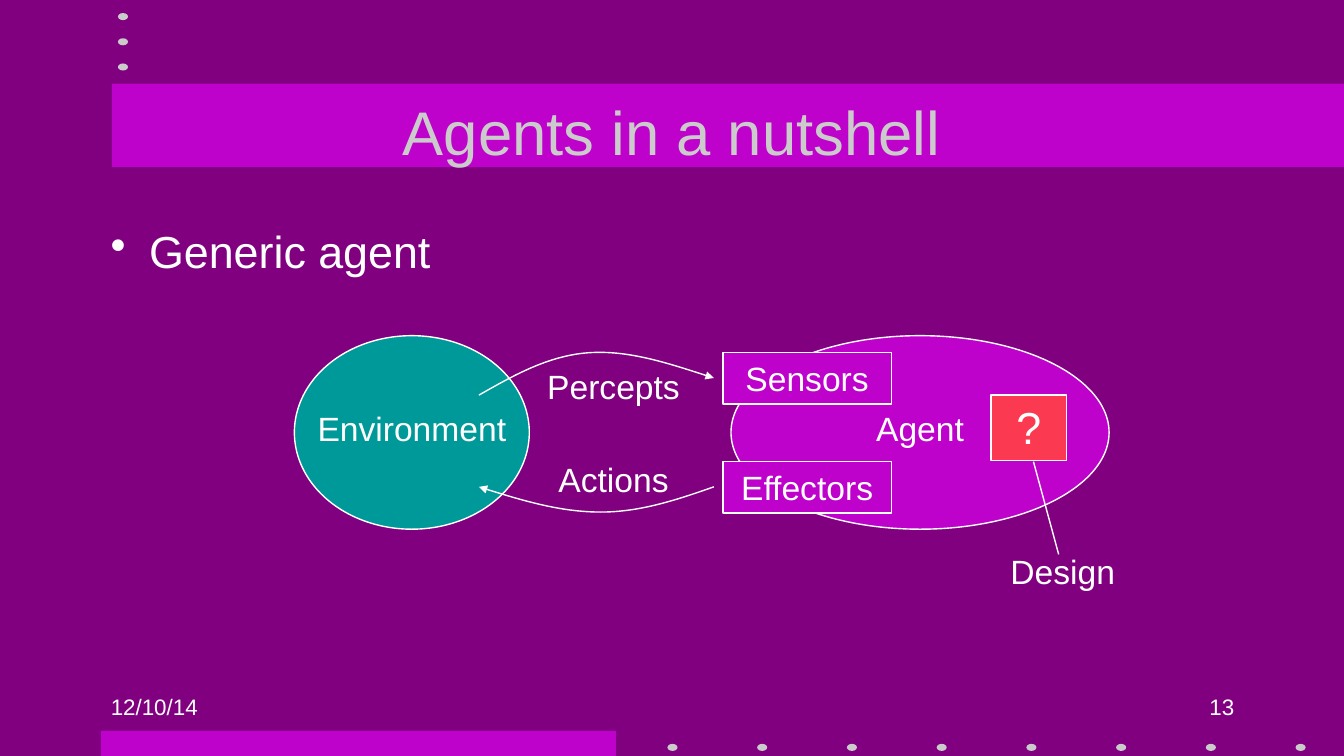
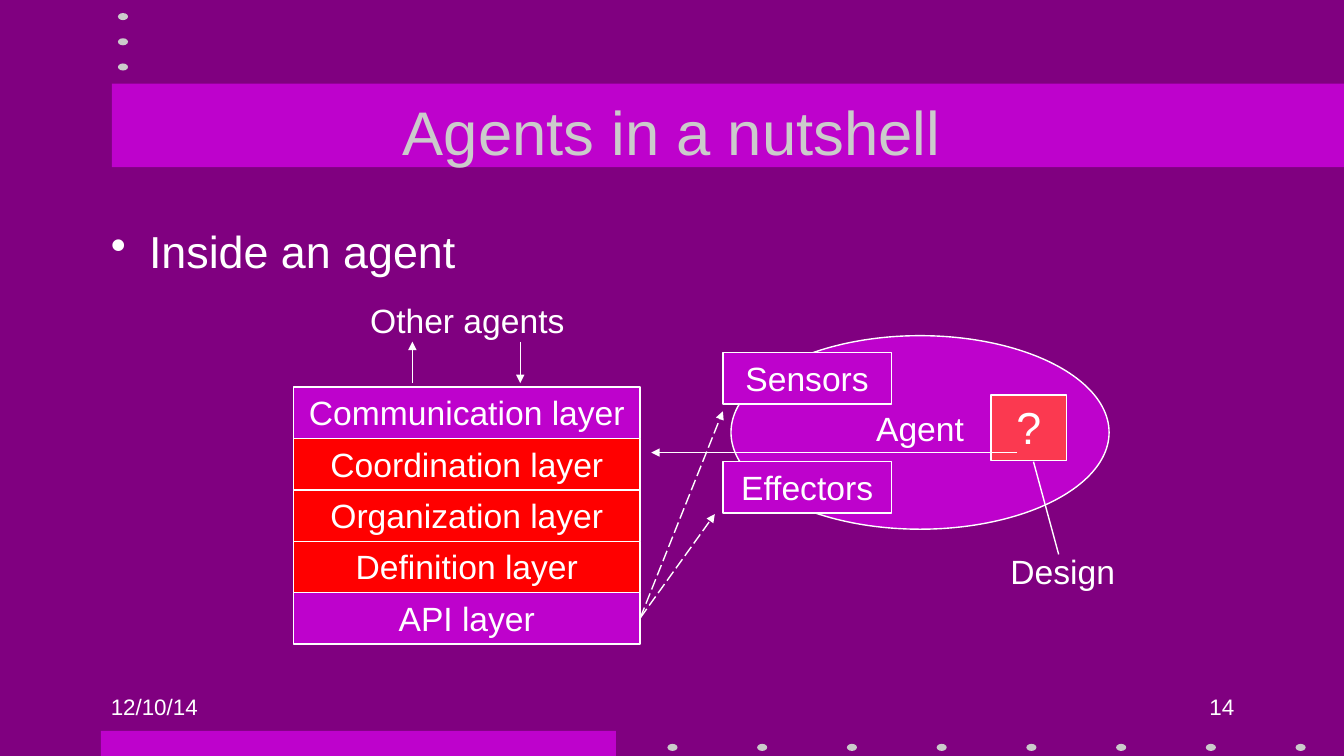
from pptx import Presentation
from pptx.dml.color import RGBColor
from pptx.enum.dml import MSO_LINE
from pptx.enum.shapes import MSO_CONNECTOR, MSO_SHAPE
from pptx.enum.text import MSO_ANCHOR, PP_ALIGN
from pptx.oxml.ns import qn
from pptx.util import Inches, Pt
from lxml import etree

PURPLE = RGBColor(0x80, 0x00, 0x80)
MAGENTA = RGBColor(0xBE, 0x02, 0xCC)
GREY = RGBColor(0xCB, 0xCB, 0xCB)
WHITE = RGBColor(0xFF, 0xFF, 0xFF)
TEAL = RGBColor(0x00, 0x99, 0x99)
CORAL = RGBColor(0xFB, 0x39, 0x50)
RED = RGBColor(0xFF, 0x00, 0x00)

FONT = "Arial"
RECTANGLE, OVAL = MSO_SHAPE.RECTANGLE, MSO_SHAPE.OVAL
STRAIGHT = MSO_CONNECTOR.STRAIGHT
LONG_DASH = MSO_LINE.LONG_DASH
LEFT, CENTER, RIGHT = PP_ALIGN.LEFT, PP_ALIGN.CENTER, PP_ALIGN.RIGHT
TOP, MIDDLE = MSO_ANCHOR.TOP, MSO_ANCHOR.MIDDLE

TITLE = "Agents in a nutshell"
DATE = "12/10/14"
LAYER_HEIGHT = 0.51
LAYERS = [
    ("Communication layer", MAGENTA),
    ("Coordination layer", RED),
    ("Organization layer", RED),
    ("Definition layer", RED),
    ("API layer", MAGENTA),
]


def inches(values):
    """Turn a sequence of numbers into lengths."""
    return [Inches(value) for value in values]


def write(shape, text, size=24, color=WHITE, align=CENTER, anchor=TOP):
    """Write one paragraph into a shape and return the paragraph."""
    frame = shape.text_frame
    frame.word_wrap = True
    frame.vertical_anchor = anchor
    para = frame.paragraphs[0]
    para.alignment = align
    span = para.add_run()
    span.text = text
    span.font.name = FONT
    span.font.size = Pt(size)
    span.font.color.rgb = color
    return para


def add_text(page, at, text, **style):
    """Add a text box and return its paragraph."""
    return write(page.shapes.add_textbox(*inches(at)), text, **style)


def add_bullet(page, at, text):
    """Add the bulleted heading of the slide body."""
    para = add_text(page, at, text, size=32, align=LEFT)
    settings = para._p.get_or_add_pPr()
    settings.set("marL", str(Inches(0.38)))
    settings.set("indent", str(-Inches(0.38)))
    etree.SubElement(settings, qn("a:buChar")).set("char", "•")


def add_filled(page, kind, at, fill, outlined=True):
    """Add a filled preset shape, with a white outline if wanted."""
    shape = page.shapes.add_shape(kind, *inches(at))
    shape.shadow.inherit = False
    shape.fill.solid()
    shape.fill.fore_color.rgb = fill
    if outlined:
        draw_line(shape)
    else:
        shape.line.fill.background()
    return shape


def draw_line(item, dash=None, arrow=False):
    """Give a shape or connector its white line, dash and arrowhead."""
    item.line.color.rgb = WHITE
    item.line.width = Pt(1)
    if dash:
        item.line.dash_style = dash
    if arrow:
        line = item._element.spPr.find(qn("a:ln"))
        etree.SubElement(line, qn("a:tailEnd")).set("type", "triangle")


def add_straight(page, start, end, dash=None, arrow=True):
    """Add a straight connector from start to end."""
    connector = page.shapes.add_connector(STRAIGHT, *inches(start + end))
    draw_line(connector, dash, arrow)
    etree.SubElement(connector._element.spPr, qn("a:effectLst"))


def add_curve(page, start, points):
    """Add a curved arrow; every three points make one Bezier segment."""
    builder = page.shapes.build_freeform(*inches(start), scale=1.0)
    builder.add_line_segments([inches(point) for point in points], close=False)
    curve = builder.convert_to_shape()
    curve.shadow.inherit = False
    curve.fill.background()
    draw_line(curve, arrow=True)
    outline = curve._element.xpath(".//a:path")[0]
    steps = outline.findall(qn("a:lnTo"))
    for first in range(0, len(steps), 3):
        segment = etree.SubElement(outline, qn("a:cubicBezTo"))
        for step in steps[first:first + 3]:
            segment.append(step[0])
            outline.remove(step)


def add_page(deck, number, heading, body_width):
    """Add a slide with bands, dots, footer, title and bullet."""
    page = deck.slides.add_slide(deck.slide_layouts[6])
    for band in [(1, 7.25, 5.11, 0.25), (1.11, 0.83, 12.22, 0.83)]:
        add_filled(page, RECTANGLE, band, MAGENTA, outlined=False)
    dots = [(6.62 + 0.89 * i, 7.38) for i in range(8)]
    dots += [(1.17, 0.13 + 0.25 * i) for i in range(3)]
    for left, top in dots:
        add_filled(page, OVAL, (left, top, 0.1, 0.07), GREY, outlined=False)
    add_text(page, (1, 6.83, 2.78, 0.5), DATE, size=16, align=LEFT)
    add_text(page, (9.56, 6.83, 2.78, 0.5), str(number), size=16, align=RIGHT)
    add_text(page, (2.08, 0.67, 9.17, 1.25), TITLE, size=44, color=GREY, anchor=MIDDLE)
    add_bullet(page, (1, 2.17, body_width, 4.5), heading)
    return page


def add_agent(page):
    """Draw the agent with its sensors, effectors and open design."""
    add_filled(page, OVAL, (7.25, 3.33, 3.75, 1.92), MAGENTA)
    add_text(page, (7.4, 4, 3.45, 0.5), "Agent")
    for top, label in [(4.58, "Effectors"), (3.5, "Sensors")]:
        write(add_filled(page, RECTANGLE, (7.17, top, 1.67, 0.51), MAGENTA), label)
    question = add_filled(page, RECTANGLE, (9.83, 3.92, 0.75, 0.65), CORAL)
    write(question, "?", size=32)
    add_straight(page, (10.25, 4.58), (10.5, 5.5), arrow=False)
    add_text(page, (9.75, 5.42, 1.58, 0.5), "Design")


def add_environment(page):
    """Draw the environment and its exchange with the agent."""
    add_filled(page, OVAL, (2.92, 3.33, 2.33, 1.92), TEAL)
    add_text(page, (3.01, 4, 2.15, 0.5), "Environment")
    add_curve(page, (4.75, 3.92), [
        (5.1, 3.72), (5.44, 3.53), (5.83, 3.5),
        (6.22, 3.47), (6.65, 3.61), (7.08, 3.75)])
    add_text(page, (5.25, 3.58, 1.67, 0.5), "Percepts")
    add_text(page, (5.25, 4.5, 1.67, 0.5), "Actions")
    add_curve(page, (7.08, 4.83), [
        (6.71, 4.96), (6.35, 5.08), (5.96, 5.08),
        (5.57, 5.08), (5.16, 4.96), (4.75, 4.83)])


def add_layers(page):
    """Draw the stack of layers and its links."""
    for row, (label, fill) in enumerate(LAYERS):
        at = (2.91, 3.84 + row * LAYER_HEIGHT, 3.44, LAYER_HEIGHT)
        write(add_filled(page, RECTANGLE, at, fill), label)
    add_text(page, (3.3, 2.93, 2.67, 0.5), "Other agents")
    add_straight(page, (4.09, 3.8), (4.09, 3.39))
    add_straight(page, (5.16, 3.39), (5.16, 3.8))
    add_straight(page, (10.09, 4.49), (6.46, 4.49))
    for target in [(7.17, 4.08), (7.09, 5.1)]:
        add_straight(page, (6.35, 6.13), target, dash=LONG_DASH)


def main():
    """Build and save the deck."""
    deck = Presentation()
    deck.slide_width, deck.slide_height = Inches(13.33), Inches(7.5)
    background = deck.slide_master.background.fill
    background.solid()
    background.fore_color.rgb = PURPLE

    generic = add_page(deck, 13, "Generic agent", 11.33)
    add_environment(generic)
    add_agent(generic)

    inside = add_page(deck, 14, "Inside an agent", 10.25)
    add_agent(inside)
    add_layers(inside)

    deck.save("out.pptx")


main()
